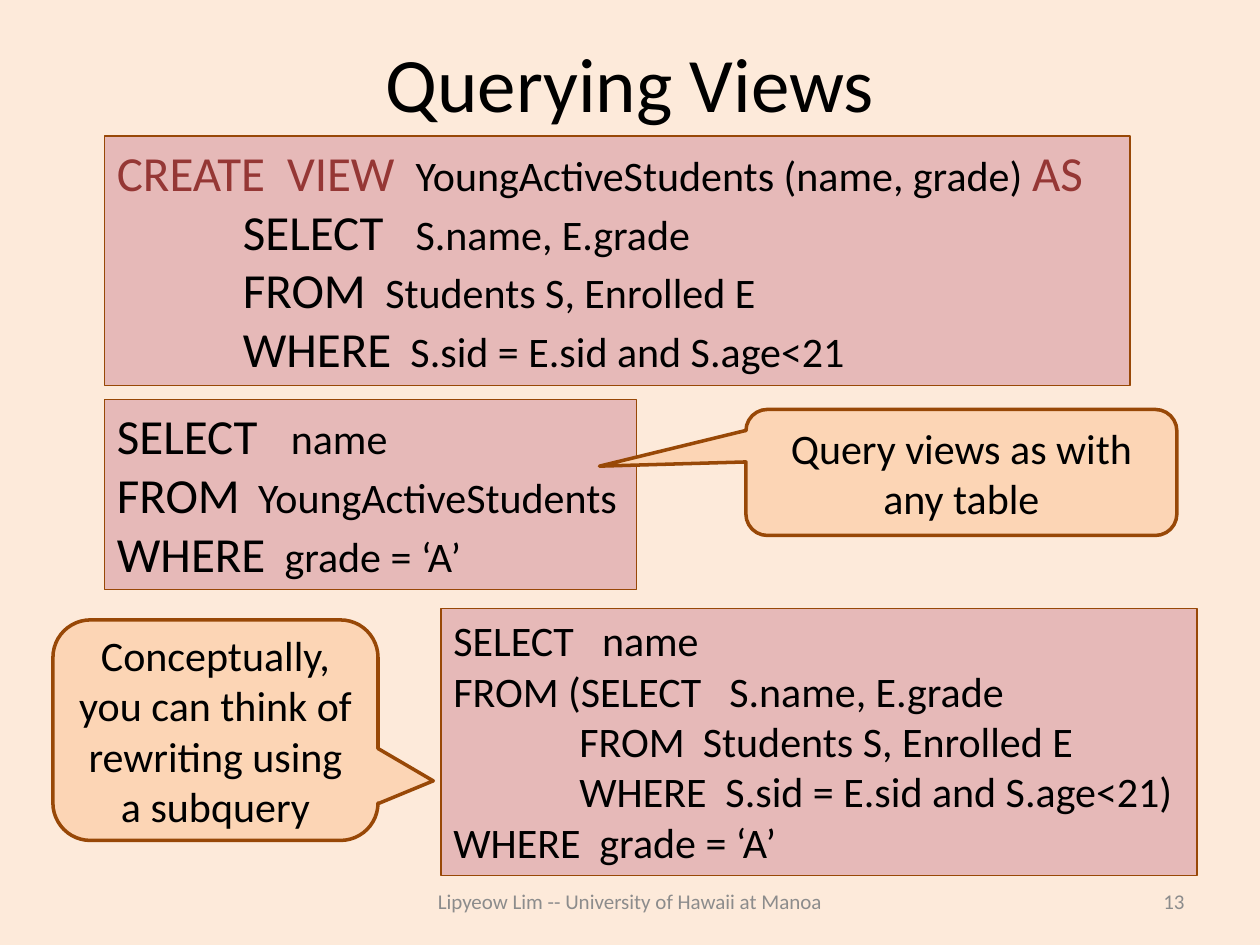
import pptx
import pptx.util
import pptx.dml.color
import pptx.enum.shapes
import pptx.enum.text
import pptx.oxml.ns
import lxml.etree

COLORS = {"background": "FDEADA", "code": "E6B9B8", "callout": "FCD5B5", "border": "984807",
          "text": "000000", "view": "953735", "footer": "8C8C8C"}
FONT = "Calibri"
INDENT = 1.0
ALIGN = pptx.enum.text.PP_ALIGN
ANCHOR = pptx.enum.text.MSO_ANCHOR
SHAPES = pptx.enum.shapes.MSO_SHAPE

KEYWORD, PLAIN, VIEW = (28, "text"), (24, "text"), (28, "view")

CODE_BOXES = [
    ((0.83, 1.08, 8.14, 1.98), [
        ([1.35, 2.37], [("CREATE\tVIEW\t", VIEW), ("YoungActiveStudents (name, grade) ", PLAIN), ("AS", VIEW)]),
        ([INDENT, 2.37], [("\tSELECT\t", KEYWORD), ("S.name, E.grade", PLAIN)]),
        ([INDENT, 2.13], [("\tFROM\t", KEYWORD), ("Students S, Enrolled E", PLAIN)]),
        ([INDENT, 2.33], [("\tWHERE\t", KEYWORD), ("S.sid = E.sid and S.age<21", PLAIN)]),
    ]),
    ((0.83, 3.17, 4.22, 1.51), [
        ([1.38], [("SELECT\t", KEYWORD), ("name", PLAIN)]),
        ([1.12], [("FROM\t", KEYWORD), ("YoungActiveStudents", PLAIN)]),
        ([1.33], [("WHERE\t", KEYWORD), ("grade = ‘A’", PLAIN)]),
    ]),
    ((3.5, 4.83, 6, 2.12), [
        ([1.18], [("SELECT\tname", PLAIN)]),
        ([2.19], [("FROM (SELECT\tS.name, E.grade", PLAIN)]),
        ([INDENT, 1.98], [("\tFROM\tStudents S, Enrolled E", PLAIN)]),
        ([INDENT, 2.16], [("\tWHERE\tS.sid = E.sid and S.age<21)", PLAIN)]),
        ([1.16], [("WHERE\tgrade = ‘A’", PLAIN)]),
    ]),
]
CALLOUTS = [
    ((5.92, 3.25, 3.42, 1), (-0.84, -0.05, 0.17), "Query views as with any table"),
    ((0.42, 4.92, 2.58, 1.75), (0.67, 0.23, 0.17),
     "Conceptually, you can think of rewriting using a subquery"),
]
LABELS = [
    ((0.5, 0.3, 9, 0.7), "Querying Views", (44, "text"), ALIGN.CENTER),
    ((3, 6.95, 4, 0.4), "Lipyeow Lim -- University of Hawaii at Manoa", (12, "footer"), ALIGN.CENTER),
    ((7.17, 6.95, 2.33, 0.4), "13", (12, "footer"), ALIGN.RIGHT),
]


def color(name):
    return pptx.dml.color.RGBColor.from_string(COLORS[name])


def inches(values):
    return [pptx.util.Inches(value) for value in values]


def set_tab_stops(paragraph, stops):
    properties = paragraph._p.get_or_add_pPr()
    tab_list = lxml.etree.SubElement(properties, pptx.oxml.ns.qn("a:tabLst"))
    for stop in inches(stops):
        lxml.etree.SubElement(tab_list, pptx.oxml.ns.qn("a:tab"), pos=str(int(stop)), algn="l")


def write(shape, lines, alignment, anchor):
    frame = shape.text_frame
    frame.word_wrap = True
    frame.vertical_anchor = anchor
    for index, (stops, runs) in enumerate(lines):
        paragraph = frame.add_paragraph() if index else frame.paragraphs[0]
        paragraph.alignment = alignment
        if stops:
            set_tab_stops(paragraph, stops)
        for text, (size, color_name) in runs:
            run = paragraph.add_run()
            run.text = text
            run.font.name = FONT
            run.font.size = pptx.util.Pt(size)
            run.font.color.rgb = color(color_name)


def add_box(kind, place, fill, line_width):
    shape = slide.shapes.add_shape(kind, *inches(place))
    shape.shadow.inherit = False
    shape.fill.solid()
    shape.fill.fore_color.rgb = color(fill)
    shape.line.color.rgb = color("border")
    shape.line.width = pptx.util.Pt(line_width)
    return shape


presentation = pptx.Presentation()
presentation.slide_width, presentation.slide_height = inches((10, 7.5))
slide = presentation.slides.add_slide(presentation.slide_layouts[6])
slide.background.fill.solid()
slide.background.fill.fore_color.rgb = color("background")

for place, text, style, alignment in LABELS:
    label = slide.shapes.add_textbox(*inches(place))
    write(label, [([], [(text, style)])], alignment, ANCHOR.MIDDLE)

for place, lines in CODE_BOXES:
    box = add_box(SHAPES.RECTANGLE, place, "code", 0.75)
    write(box, lines, ALIGN.LEFT, ANCHOR.TOP)

for place, adjustments, text in CALLOUTS:
    callout = add_box(SHAPES.ROUNDED_RECTANGULAR_CALLOUT, place, "callout", 2)
    for index, value in enumerate(adjustments):
        callout.adjustments[index] = value
    write(callout, [([], [(text, PLAIN)])], ALIGN.CENTER, ANCHOR.MIDDLE)

presentation.save("out.pptx")
